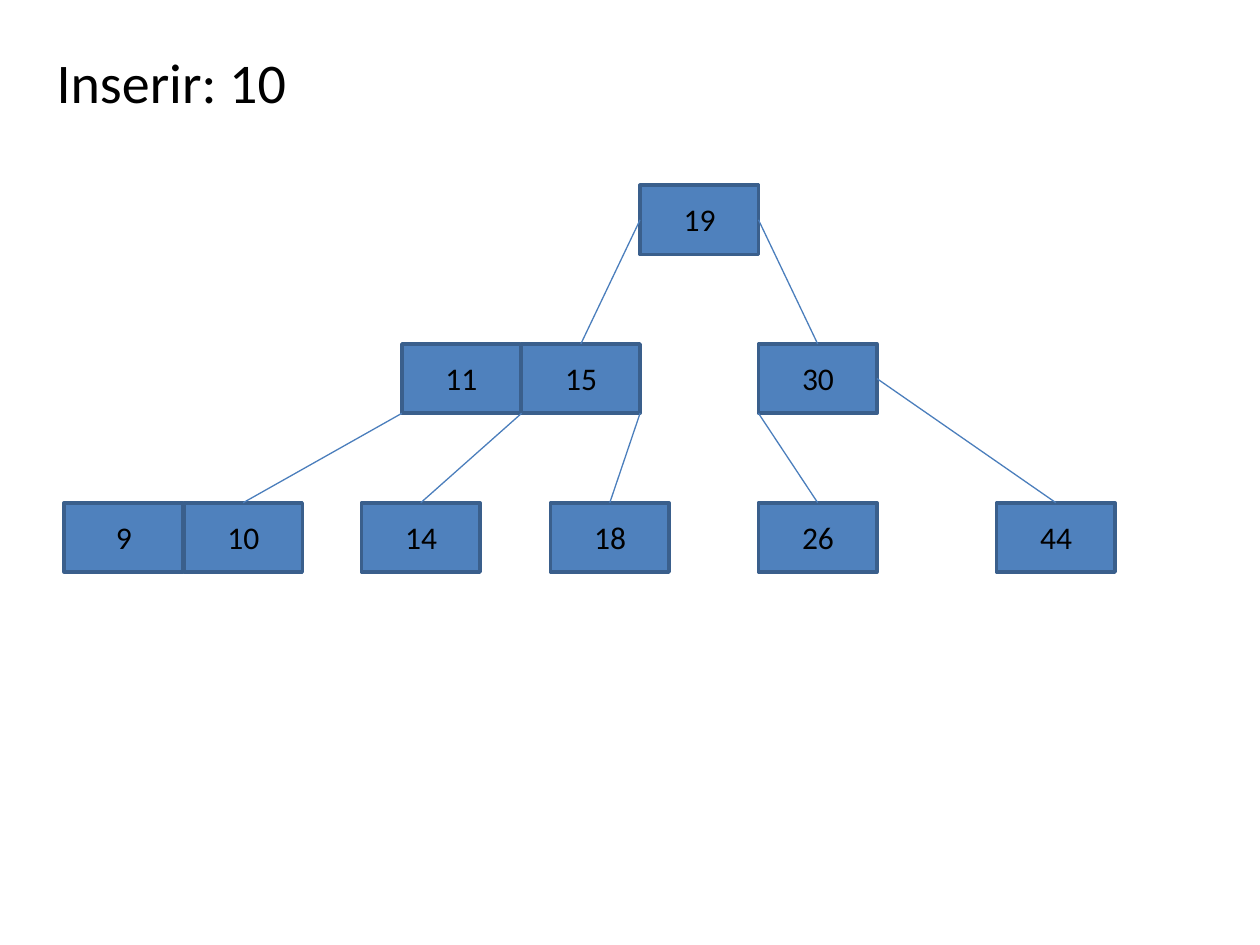
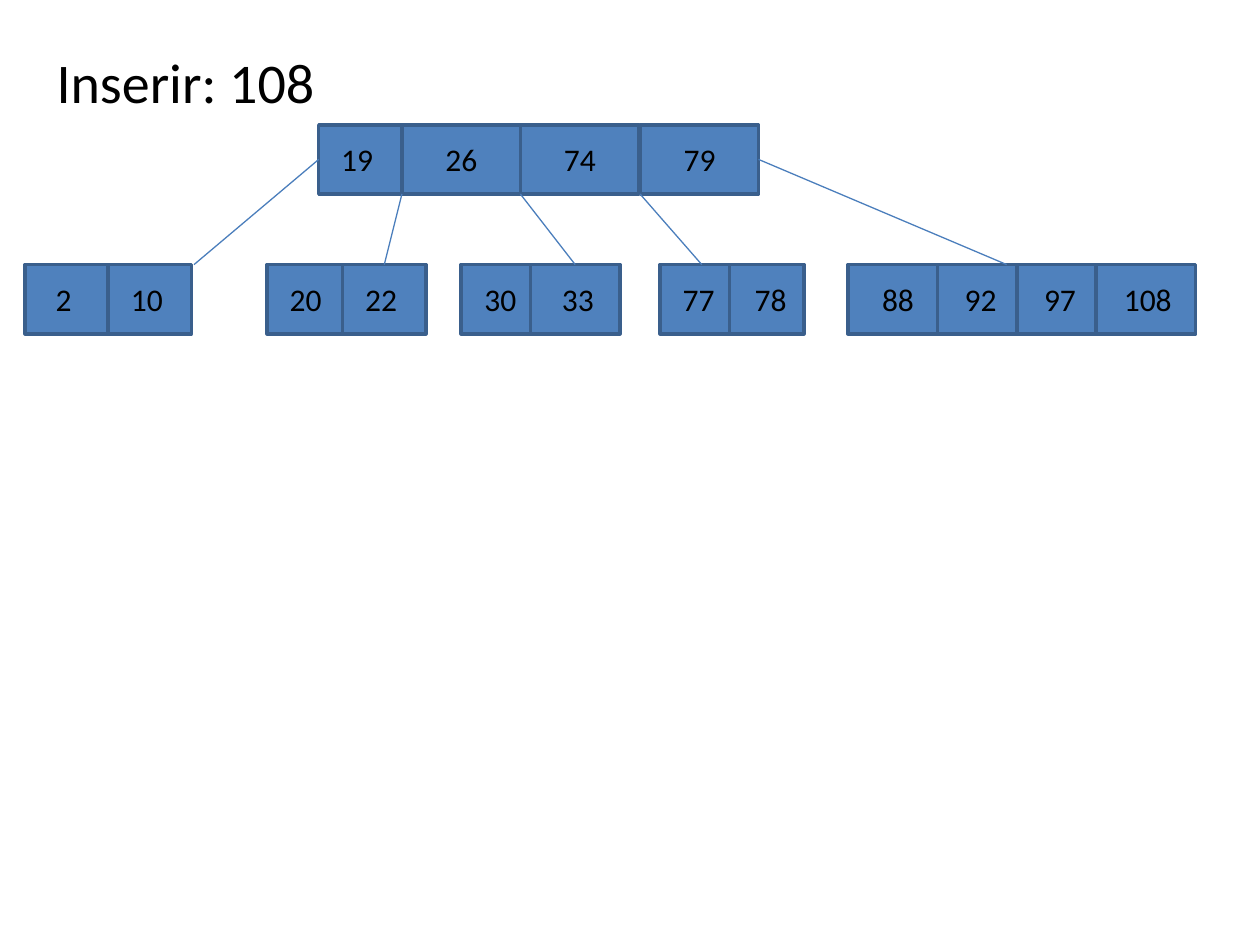
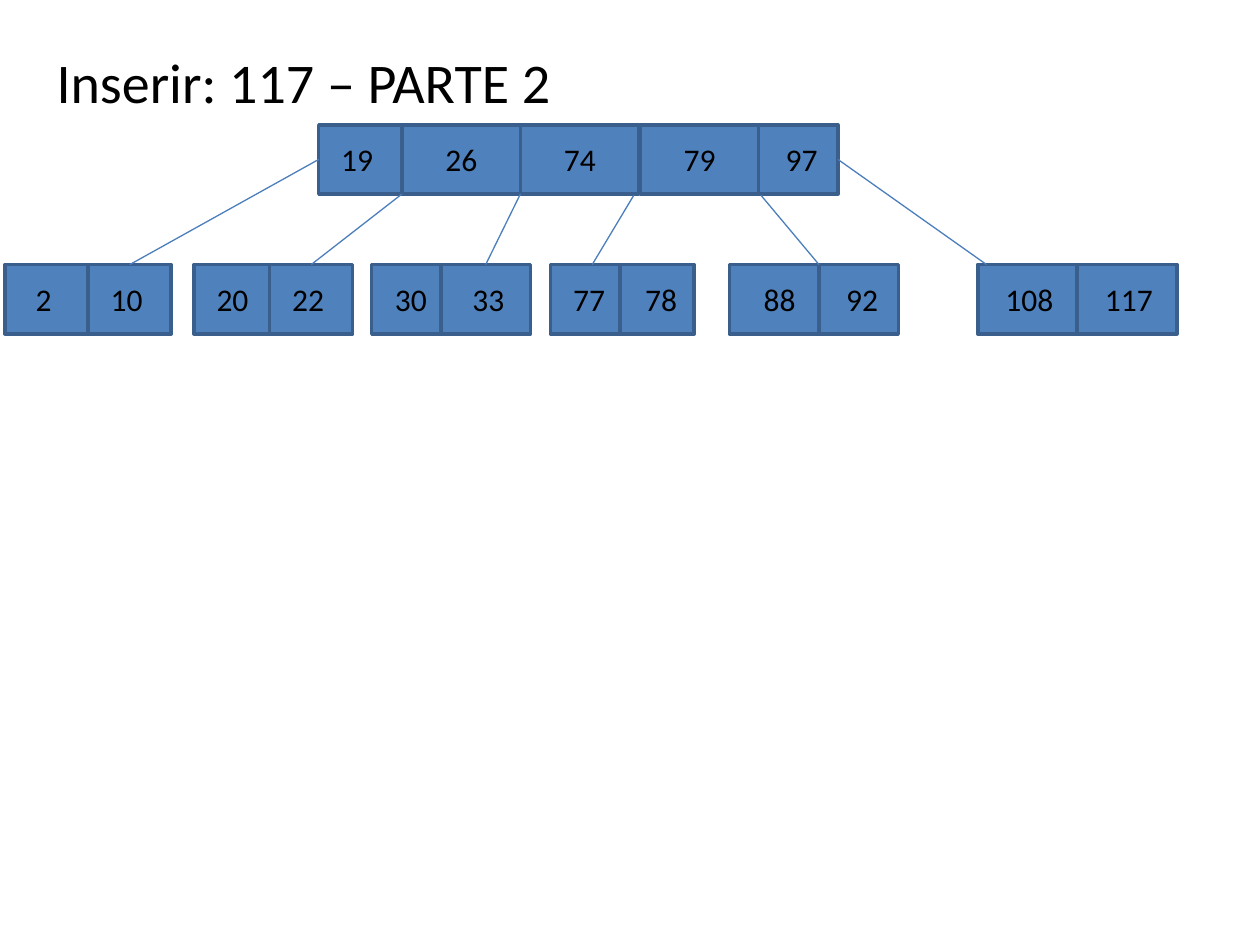
from lxml import etree
from pptx import Presentation
from pptx import util as u
from pptx.dml.color import RGBColor
from pptx.enum import shapes, text
from pptx.oxml.ns import qn

FILL, EDGE, LINK, INK = "4F81BD", "3A5F8C", "4B7EBC", "000000"
FONT = "Calibri"
HIGH = 0.55                             # height of a cell
TOP, LEFT, BOTTOM, RIGHT = range(4)     # sides a link can join
CORNER = {"TL": (0, 0), "BL": (0, 1), "BR": (1, 1)}
INSET = {0.66: 0.03, 0.6: 0.06}         # label inset by cell width

# Key: width of its cell, step to the next cell
SIZES = {
    "2": (0.66, 0.66), "10": (0.66, 0.66), "19": (0.66, 0.66),
    "20": (0.66, 0.6), "22": (0.66, 0.66),
    "26": (0.94, 0.94), "74": (0.94, 0.95), "79": (0.94, 0.94),
    "30": (0.6, 0.55), "33": (0.71, 0.71),
    "77": (0.66, 0.55), "78": (0.59, 0.59),
    "88": (0.76, 0.71), "92": (0.63, 0.63), "97": (0.63, 0.63),
    "108": (0.79, 0.79), "117": (0.79, 0.79),
}
WIDE = (0.94, 0.95)


def color(code):
    return RGBColor.from_string(code)


def write(frame, words, size=18, align=text.PP_ALIGN.CENTER,
          anchor=text.MSO_ANCHOR.TOP):
    frame.word_wrap = True
    frame.vertical_anchor = anchor
    para = frame.paragraphs[0]
    para.alignment = align
    run = para.add_run()
    run.text = words
    run.font.size = u.Pt(size)
    run.font.name = FONT
    run.font.color.rgb = color(INK)


class Deck:
    def __init__(self):
        self.prs = Presentation()
        self.prs.slide_width = u.Inches(10)
        self.prs.slide_height = u.Inches(7.5)

    def page(self, title):
        self.slide = self.prs.slides.add_slide(self.prs.slide_layouts[6])
        self.cells = {}
        self.label(title, 0.35, 0.29, 6.61, 0.71, size=32,
                   align=text.PP_ALIGN.LEFT, anchor=text.MSO_ANCHOR.MIDDLE)

    def label(self, words, x, y, w, h, **form):
        box = self.slide.shapes.add_textbox(*map(u.Inches, (x, y, w, h)))
        write(box.text_frame, words, **form)

    def cell(self, key, x, y, w):
        box = self.slide.shapes.add_shape(
            shapes.MSO_SHAPE.RECTANGLE, *map(u.Inches, (x, y, w, HIGH)))
        box.shadow.inherit = False
        box.fill.solid()
        box.fill.fore_color.rgb = color(FILL)
        box.line.color.rgb = color(EDGE)
        box.line.width = u.Pt(2)
        self.label(key, x + INSET.get(w, 0.08), y + 0.07, w * 0.835, 0.4)
        self.cells[key] = box

    def node(self, x, y, keys, sizes):
        for key in keys.split():
            w, step = sizes.get(key, WIDE)
            self.cell(key, x, y, w)
            x += step

    def spot(self, end):
        """Place of an end: a point, or a corner of a cell."""
        key, part = end
        if key not in self.cells:
            return u.Inches(key), u.Inches(part)
        box = self.cells[key]
        dx, dy = CORNER.get(part, (0, 0))
        return box.left + dx * box.width, box.top + dy * box.height

    def link(self, start, end):
        line = self.slide.shapes.add_connector(
            shapes.MSO_CONNECTOR.STRAIGHT, *self.spot(start), *self.spot(end))
        for (key, part), join in ((start, line.begin_connect),
                                  (end, line.end_connect)):
            if key in self.cells and part not in CORNER:
                join(self.cells[key], part)
        line.line.color.rgb = color(LINK)
        line.line.width = u.Pt(0.75)
        etree.SubElement(line._element.spPr, qn("a:effectLst"))

    def tree(self, title, rows, links, sizes=SIZES):
        self.page(title)
        for y, nodes in rows.items():
            for x, keys in nodes:
                self.node(x, y, keys, sizes)
        for start, end in links:
            self.link(start, end)


def main():
    deck = Deck()

    # Three levels, all cells alike
    deck.tree(
        "Inserir: 10",
        {1.47: [(5.08, "19")],
         2.73: [(3.19, "11 15"), (6.02, "30")],
         3.99: [(0.51, "9 10"), (2.87, "14"), (4.37, "18"),
                (6.02, "26"), (7.91, "44")]},
        [(("19", LEFT), ("15", TOP)), (("19", RIGHT), ("30", TOP)),
         (("11", "BL"), ("10", TOP)), (("15", "BL"), ("14", TOP)),
         (("15", "BR"), ("18", TOP)), (("30", "BL"), ("26", TOP)),
         (("30", RIGHT), ("44", TOP))],
        sizes={})

    # Root of four keys
    deck.tree(
        "Inserir: 108",
        {0.99: [(2.53, "19 26 74 79")],
         2.1: [(0.2, "2 10"), (2.12, "20 22"), (3.66, "30 33"),
               (5.24, "77 78"), (6.73, "88 92 97 108")]},
        [(("19", LEFT), (1.54, 2.1)), (("26", "BL"), ("22", TOP)),
         (("74", "BL"), ("33", TOP)), (("79", "BL"), ("77", TOP)),
         (("79", RIGHT), (7.99, 2.1))])

    # Root of five keys, after the split
    deck.tree(
        "Inserir: 117 – PARTE 2",
        {0.99: [(2.53, "19 26 74 79 97")],
         2.1: [(0.04, "2 10"), (1.54, "20 22"), (2.95, "30 33"),
               (4.37, "77 78"), (5.79, "88 92"), (7.76, "108 117")]},
        [(("19", LEFT), ("10", TOP)), (("26", "BL"), ("22", TOP)),
         (("74", "BL"), ("33", TOP)), ((5.03, 1.55), ("77", TOP)),
         ((6.04, 1.55), ("92", "TL")), (("97", RIGHT), (7.83, 2.1))])

    deck.prs.save("out.pptx")


if __name__ == "__main__":
    main()
